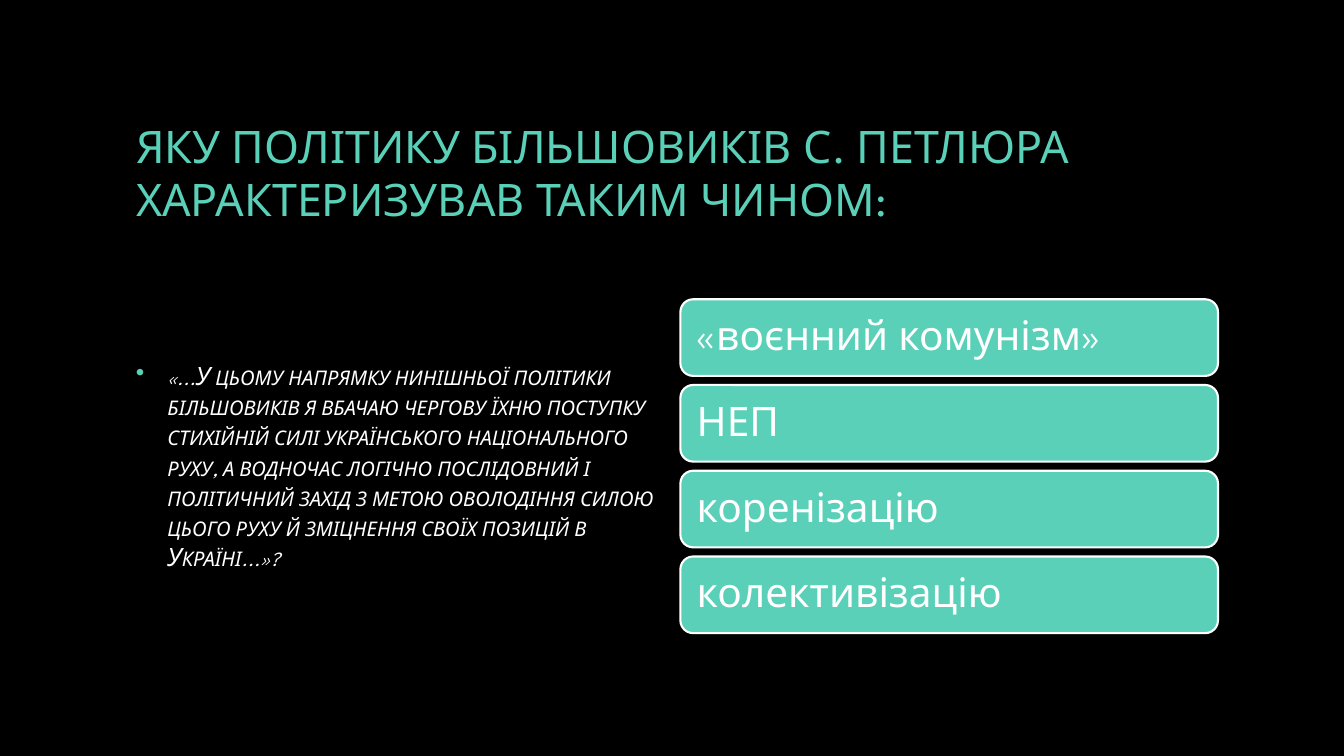
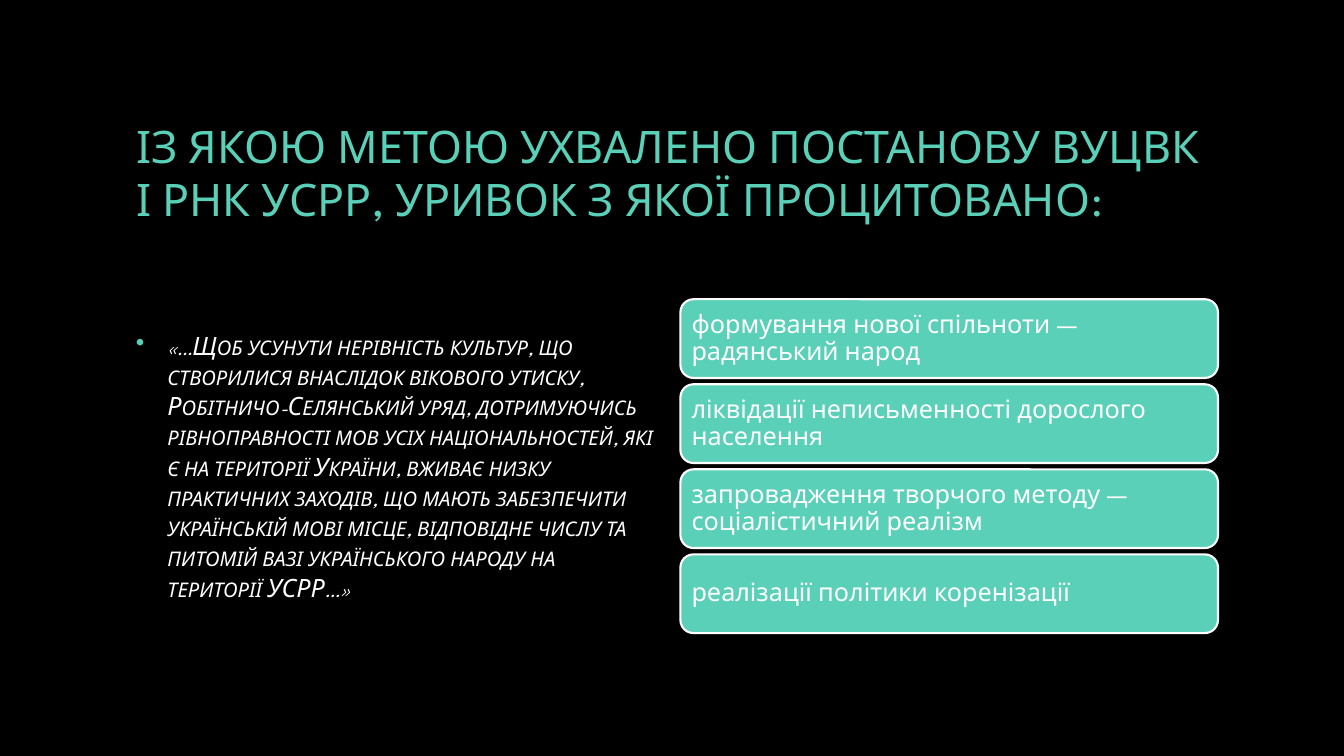
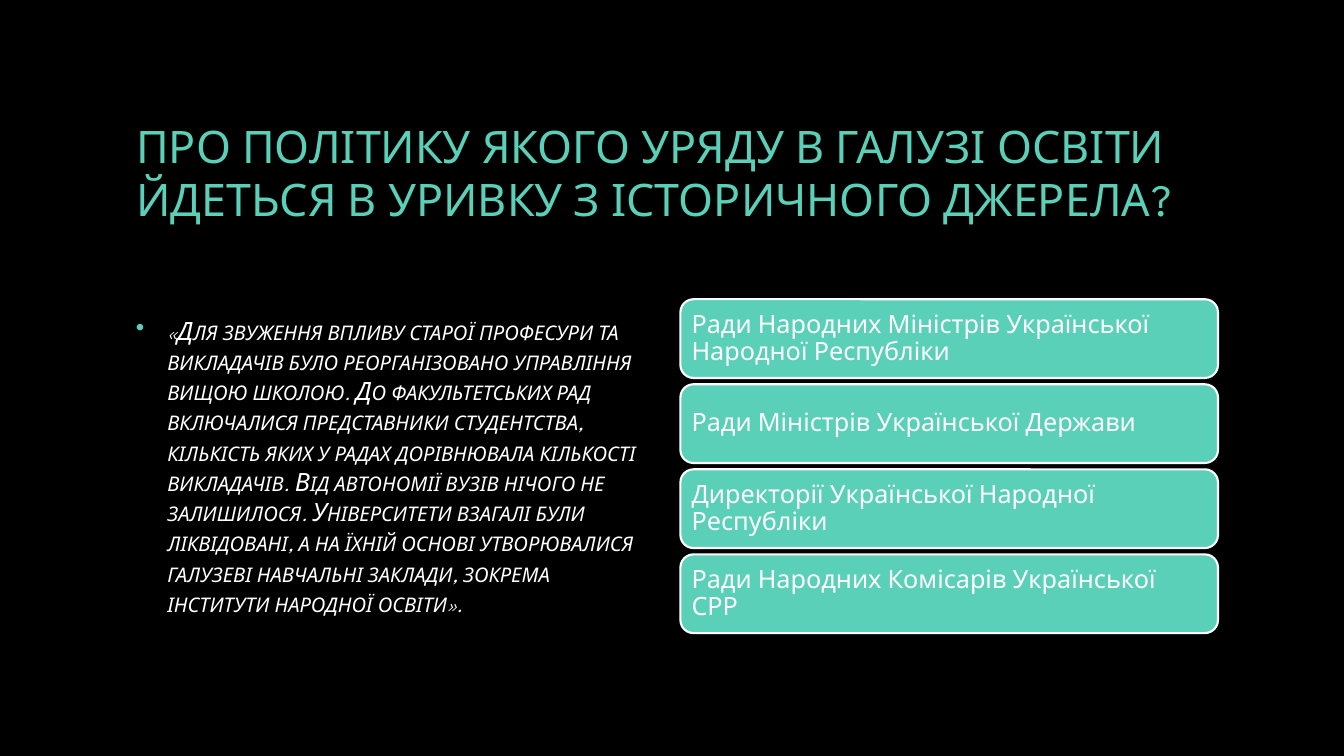
"""Builds three history quiz slides: a question, a quoted source and four answers."""
from dataclasses import dataclass

from lxml import etree
from pptx import Presentation, util as u
from pptx.dml.color import RGBColor
from pptx.enum import shapes, text
from pptx.oxml.ns import qn

QUIZ = [
    {
        "question": "ЯКУ ПОЛІТИКУ БІЛЬШОВИКІВ С. ПЕТЛЮРА ХАРАКТЕРИЗУВАВ ТАКИМ ЧИНОМ:",
        "quote": "«...У цьому напрямку нинішньої політики більшовиків я вбачаю чергову їхню "
                 "поступку стихійній силі українського національного руху, а водночас логічно "
                 "послідовний і політичний захід з метою оволодіння силою цього руху й "
                 "зміцнення своїх позицій в Україні...»?",
        "answers": ["«воєнний комунізм»", "НЕП", "коренізацію", "колективізацію"],
        "card": "large",
    },
    {
        "question": "ІЗ ЯКОЮ МЕТОЮ УХВАЛЕНО ПОСТАНОВУ ВУЦВК І РНК УСРР, УРИВОК З ЯКОЇ ПРОЦИТОВАНО:",
        "quote": "«…Щоб усунути нерівність культур, що створилися внаслідок вікового утиску, "
                 "Робітничо-Селянський уряд, дотримуючись рівноправності мов усіх "
                 "національностей, які є на території України, вживає низку практичних "
                 "заходів, що мають забезпечити українській мові місце, відповідне числу та "
                 "питомій вазі українського народу на території УСРР…»",
        "answers": ["формування нової спільноти — радянський народ",
                    "ліквідації неписьменності дорослого населення",
                    "запровадження творчого методу — соціалістичний реалізм",
                    "реалізації політики коренізації"],
        "card": "small",
    },
    {
        "question": "ПРО ПОЛІТИКУ ЯКОГО УРЯДУ В ГАЛУЗІ ОСВІТИ ЙДЕТЬСЯ В УРИВКУ З ІСТОРИЧНОГО ДЖЕРЕЛА?",
        "quote": "«Для звуження впливу старої професури та викладачів було реорганізовано "
                 "управління вищою школою. До факультетських рад включалися представники "
                 "студентства, кількість яких у радах дорівнювала кількості викладачів. Від "
                 "автономії вузів нічого не залишилося. Університети взагалі були ліквідовані, "
                 "а на їхній основі утворювалися галузеві навчальні заклади, зокрема інститути "
                 "народної освіти».",
        "answers": ["Ради Народних Міністрів Української Народної Республіки",
                    "Ради Міністрів Української Держави",
                    "Директорії Української Народної Республіки",
                    "Ради Народних Комісарів Української СРР"],
        "card": "small",
    },
]


@dataclass(frozen=True)
class Theme:
    """Colours, font and type sizes of the deck."""
    back: str = "000000"
    accent: str = "5AD0B8"
    ink: str = "FFFFFF"
    font: str = "League Spartan"
    title: int = 32
    quote: int = 18
    line: float = 1.5


T = Theme()
PX = 9525
SLIDE = (1280, 720)
TITLE_BOX = (120, 64, 1040, 200)
QUOTE_BOX = (120, 280, 512, 328)
STACK = (648, 285, 512, 318)
INDENT = 30
CARDS = {"large": {"height": 73, "inset": 12, "size": 29},
         "small": {"height": 75, "inset": 7, "size": 18}}
INSETS = ("margin_left", "margin_top", "margin_right", "margin_bottom")


def px(n):
    """Turn pixels into EMU."""
    return u.Emu(round(n * PX))


def rgb(code):
    """Turn a hex code into a colour."""
    return RGBColor.from_string(code)


def apply(obj, **values):
    """Set attributes from a dict of format values."""
    for name, value in values.items():
        setattr(obj, name, value)


def place(sp, box):
    """Put a shape at a pixel box."""
    apply(sp, **dict(zip(("left", "top", "width", "height"), map(px, box))))


def write(sp, words, size, color, **para):
    """Fill a frame with one left-aligned paragraph and return its paragraph and run."""
    tf = sp.text_frame
    apply(tf, word_wrap=True, auto_size=text.MSO_AUTO_SIZE.NONE,
          vertical_anchor=text.MSO_ANCHOR.MIDDLE)
    p = tf.paragraphs[0]
    apply(p, **{"alignment": text.PP_ALIGN.LEFT, **para})
    r = p.add_run()
    r.text = words
    apply(r.font, name=T.font, size=u.Pt(size))
    r.font.color.rgb = rgb(color)
    return p, r


def add_bullet(p):
    """Give a paragraph a hanging accent bullet."""
    pr = p._p.get_or_add_pPr()
    pr.set("marL", str(px(INDENT)))
    pr.set("indent", str(-px(INDENT)))
    etree.SubElement(etree.SubElement(pr, qn("a:buClr")), qn("a:srgbClr")).set("val", T.accent)
    etree.SubElement(pr, qn("a:buChar")).set("char", "•")


def add_quote(s, words):
    """Add the quoted source in italic small capitals."""
    sp = s.shapes.add_textbox(*map(px, QUOTE_BOX))
    p, r = write(sp, words, T.quote, T.ink)
    add_bullet(p)
    r.font.italic = True
    r.font._element.set("cap", "small")


def add_answers(s, answers, height, inset, size):
    """Spread the answer cards evenly over the stack."""
    left, top, width, total = STACK
    pitch = (total - height) / (len(answers) - 1)
    for i, answer in enumerate(answers):
        box = (left, top + i * pitch, width, height)
        sp = s.shapes.add_shape(shapes.MSO_SHAPE.ROUNDED_RECTANGLE, *map(px, box))
        sp.shadow.inherit = False
        sp.fill.solid()
        sp.fill.fore_color.rgb = rgb(T.accent)
        sp.line.color.rgb = rgb(T.ink)
        sp.line.width = u.Pt(T.line)
        apply(sp.text_frame, **dict.fromkeys(INSETS, px(inset)))
        write(sp, answer, size, T.ink, line_spacing=0.9)


def main():
    """Build and save the deck."""
    prs = Presentation()
    prs.slide_width, prs.slide_height = map(px, SLIDE)
    fill = prs.slide_master.background.fill
    fill.solid()
    fill.fore_color.rgb = rgb(T.back)
    for item in QUIZ:
        s = prs.slides.add_slide(prs.slide_layouts[5])
        place(s.shapes.title, TITLE_BOX)
        write(s.shapes.title, item["question"], T.title, T.accent)
        add_quote(s, item["quote"])
        add_answers(s, item["answers"], **CARDS[item["card"]])
    prs.save("out.pptx")


if __name__ == "__main__":
    main()
